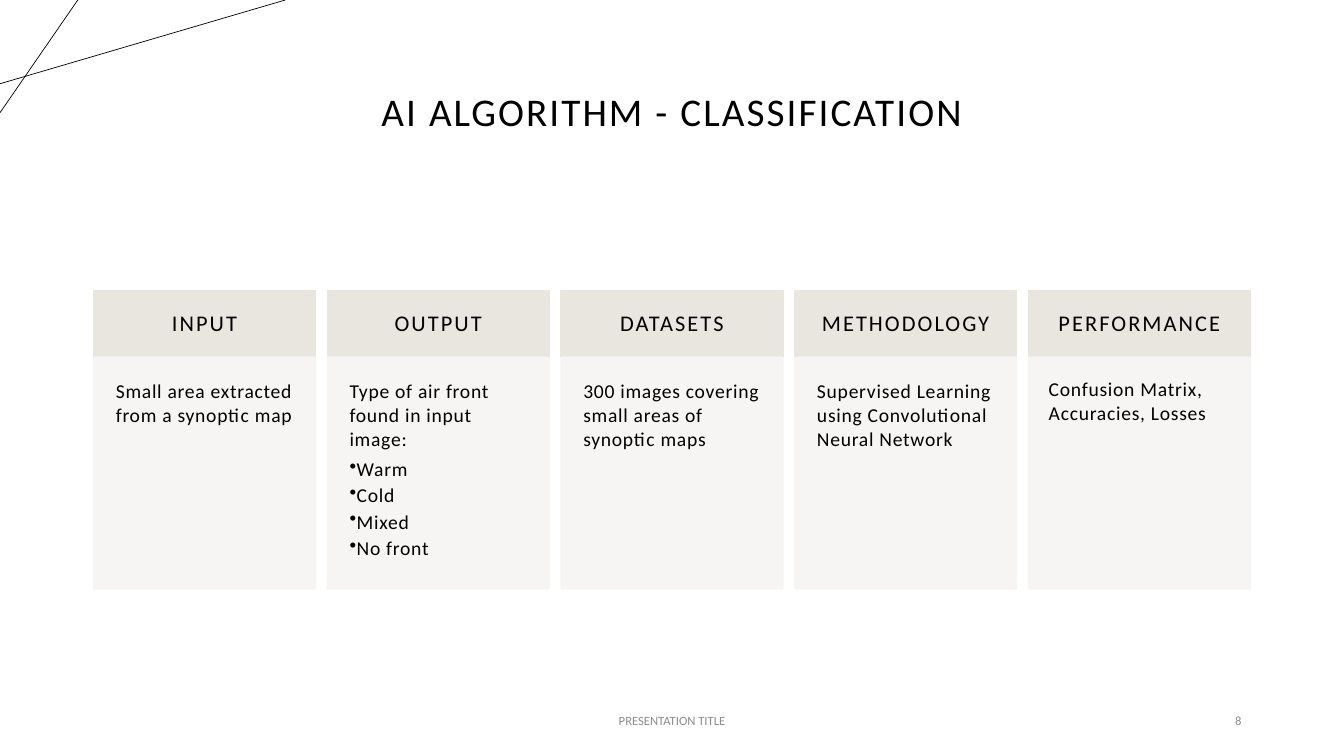
from pptx import Presentation
from pptx.dml.color import RGBColor
from pptx.enum.shapes import MSO_CONNECTOR as Connector, MSO_SHAPE as Shape
from pptx.enum.text import MSO_ANCHOR as Anchor, PP_ALIGN as Align
from pptx.oxml.ns import qn
from pptx.oxml.xmlchemy import OxmlElement
from pptx.util import Cm, Pt

COLORS = {"ink": "000000", "header": "E9E6DF", "body": "F7F5F3", "footer": "8C8C8C"}
CARDS = [
    ("INPUT", "Small area extracted from a synoptic map", [], 0.56),
    ("OUTPUT", "Type of air front found in input image:",
     ["Warm", "Cold", "Mixed", "No front"], 0.56),
    ("DATASETS", "300 images covering small areas of synoptic maps", [], 0.56),
    ("METHODOLOGY", "Supervised Learning using Convolutional Neural Network", [], 0.56),
    ("PERFORMANCE", "Confusion Matrix, Accuracies, Losses", [], 0.51),
]
CARD_LEFT, CARD_STEP, CARD_WIDTH = 2.36, 5.89, 5.59
HEADER_TOP, HEADER_HEIGHT, BODY_HEIGHT = 7.32, 1.68, 5.84


class SlideBuilder:
    """Draws styled elements on one slide."""

    def __init__(self, slide, font="Calibri"):
        self.slide = slide
        self.font = font

    def color(self, name):
        return RGBColor.from_string(COLORS[name])

    def line(self, start, end):
        points = [Cm(value) for value in (*start, *end)]
        connector = self.slide.shapes.add_connector(Connector.STRAIGHT, *points)
        connector.line.color.rgb = self.color("ink")
        connector.line.width = Pt(0.5)
        connector._element.spPr.append(OxmlElement("a:effectLst"))

    def panel(self, box, color, opacity=100):
        shape = self.slide.shapes.add_shape(Shape.RECTANGLE, *map(Cm, box))
        shape.shadow.inherit = False
        shape.fill.solid()
        shape.fill.fore_color.rgb = self.color(color)
        shape.line.color.rgb = self.color(color)
        shape.line.width = Pt(1)
        if opacity < 100:
            for element in list(shape._element.spPr.iter(qn("a:srgbClr"))):
                alpha = OxmlElement("a:alpha")
                alpha.set("val", str(opacity * 1000))
                element.append(alpha)
        return shape

    def textbox(self, box):
        return self.slide.shapes.add_textbox(*map(Cm, box))

    def set_text(self, shape, text, size, color="ink", align=Align.CENTER,
                 anchor=Anchor.MIDDLE, spacing=0, line_spacing=1.0, inset=None):
        frame = shape.text_frame
        frame.word_wrap = True
        frame.vertical_anchor = anchor
        if inset is not None:
            frame.margin_left = frame.margin_right = Cm(inset)
            frame.margin_top = frame.margin_bottom = Cm(inset)
        frame.text = text
        for paragraph in frame.paragraphs:
            paragraph.alignment = align
            paragraph.line_spacing = line_spacing
            for run in paragraph.runs:
                run.font.name = self.font
                run.font.size = Pt(size)
                run.font.color.rgb = self.color(color)
                run._r.get_or_add_rPr().set("spc", str(int(spacing * 100)))
        return frame

    def bullet(self, paragraph):
        paragraph.space_after = Pt(2)
        properties = paragraph._p.get_or_add_pPr()
        properties.set("marL", str(Cm(0.18)))
        properties.set("indent", str(-Cm(0.18)))
        character = OxmlElement("a:buChar")
        character.set("char", "•")
        properties.append(character)

    def card(self, left, heading, description, items, inset):
        header = self.panel((left, HEADER_TOP, CARD_WIDTH, HEADER_HEIGHT), "header")
        self.set_text(header, heading, 16, spacing=1.5, line_spacing=0.9, inset=0.43)
        body_top = HEADER_TOP + HEADER_HEIGHT
        body = self.panel((left, body_top, CARD_WIDTH, BODY_HEIGHT), "body", 90)
        frame = self.set_text(body, "\n".join([description, *items]), 14, align=Align.LEFT,
                              anchor=Anchor.TOP, spacing=0.5, inset=inset)
        first, *rest = frame.paragraphs
        first.space_after = Pt(4.9)
        for paragraph in rest:
            self.bullet(paragraph)


def main():
    presentation = Presentation()
    presentation.slide_width, presentation.slide_height = Cm(33.87), Cm(19.05)
    builder = SlideBuilder(presentation.slides.add_slide(presentation.slide_layouts[6]))
    builder.line((0, 2.11), (7.19, 0))
    builder.line((1.96, 0), (0, 2.84))
    title = builder.textbox((2.33, 1.02, 29.21, 3.68))
    builder.set_text(title, "AI ALGORITHM - CLASSIFICATION", 28, spacing=1.5, line_spacing=0.9)
    for index, card in enumerate(CARDS):
        builder.card(CARD_LEFT + index * CARD_STEP, *card)
    footer = builder.textbox((11.22, 17.65, 11.43, 1.02))
    builder.set_text(footer, "PRESENTATION TITLE", 9, "footer")
    number = builder.textbox((23.92, 17.65, 7.62, 1.02))
    builder.set_text(number, "8", 9, "footer", Align.RIGHT)
    presentation.save("out.pptx")


if __name__ == "__main__":
    main()
